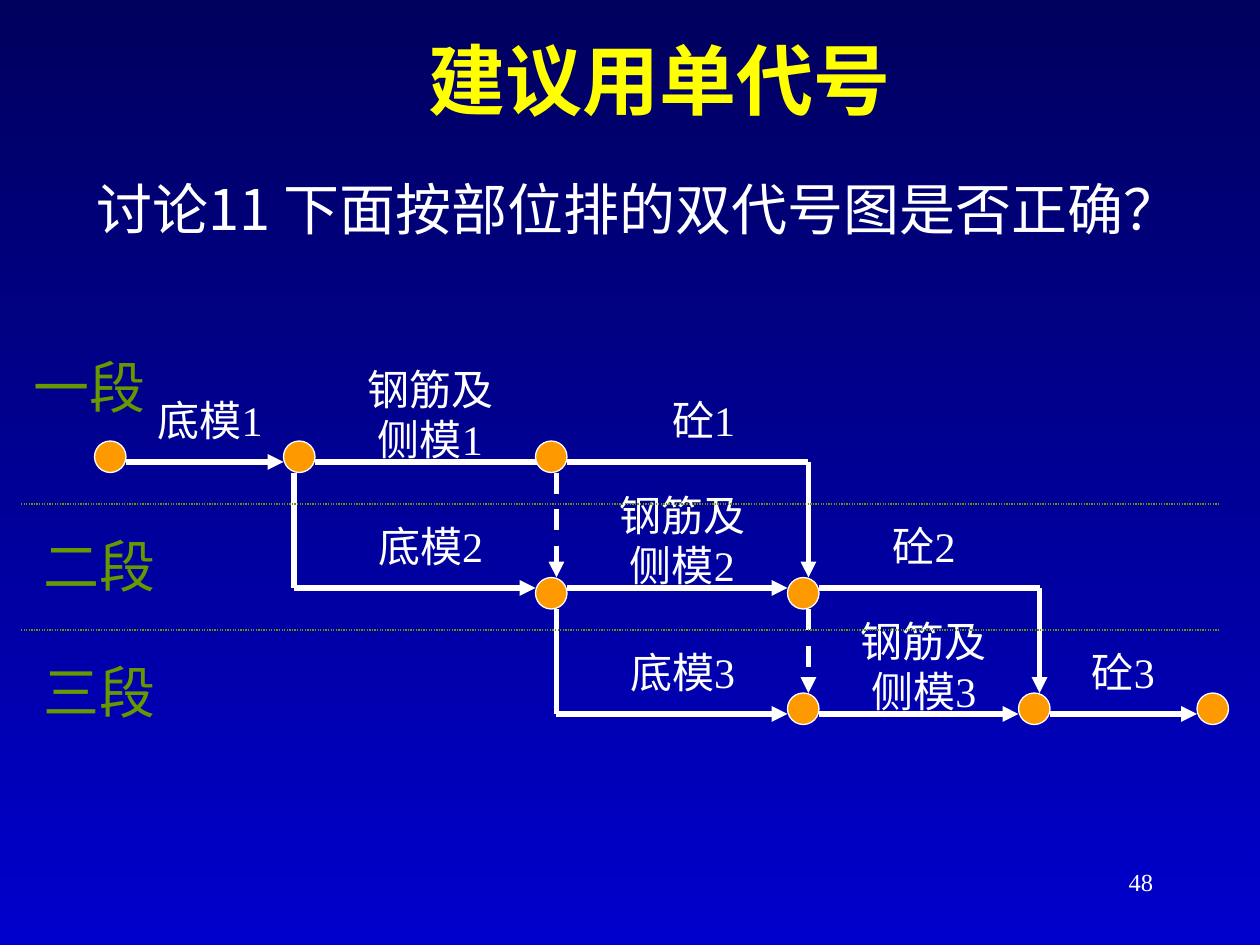
import pptx
import pptx.util
import pptx.dml.color
import pptx.enum.dml
import pptx.enum.shapes
import pptx.enum.text
import pptx.oxml.ns
import lxml.etree

COLUMNS, ROWS = 120, 90
WIDTH, HEIGHT = pptx.util.Inches(10), pptx.util.Inches(7.5)
WHITE, YELLOW, ORANGE, GREEN = "FFFFFF", "FFFF00", "FF9900", "669900"
SERIF, SANS, CHINESE = "Times New Roman", "Arial", "Noto Sans CJK SC"
ALIGN = pptx.enum.text.PP_ALIGN
DASH = pptx.enum.dml.MSO_LINE.DASH
DOTS = pptx.enum.dml.MSO_LINE.ROUND_DOT
BAND = 12

NODES = [(9, 42), (27, 42), (51, 42), (51, 55), (75, 55),
         (75, 66), (97, 66), (114, 66)]
ARROWS = [(12, 44, 27, 44), (30, 44, 54, 44), (77, 44, 77, 55),
          (28, 56, 51, 56), (54, 56, 75, 56), (99, 56, 99, 66),
          (53, 68, 75, 68), (78, 68, 97, 68), (100, 68, 114, 68)]
DUMMIES = [(53, 45, 53, 55), (77, 58, 77, 66)]
PLAIN_LINES = [(54, 44, 77, 44), (28, 45, 28, 56),
               (78, 56, 99, 56), (53, 58, 53, 68)]
TASKS = [("底模", 37, 6, [(13, 14), (34, 14), (58, 14)]),
         ("钢筋及侧模", 34, 10.8, [(32, 18), (56, 18), (79, 18)]),
         ("砼", 37, 6, [(60, 14), (81, 14), (98, 18)])]
STAGES = [("一段", 2, 33), ("二段", 3, 50), ("三段", 3, 62)]


def across(columns):
    """Return the length of a number of grid columns."""
    return int(WIDTH * columns / COLUMNS)


def down(rows):
    """Return the length of a number of grid rows."""
    return int(HEIGHT * rows / ROWS)


def color(value):
    """Return a colour from a hex string."""
    return pptx.dml.color.RGBColor.from_string(value)


def place(shape, left, top, width, height):
    """Put a shape on the grid."""
    shape.left, shape.top = across(left), down(top)
    shape.width, shape.height = across(width), down(height)


def write(box, text, size, font, shade, align=ALIGN.LEFT, bold=False):
    """Fill a box with one formatted paragraph."""
    box.text_frame.word_wrap = True
    para = box.text_frame.paragraphs[0]
    para.text = text
    para.alignment = align
    para.line_spacing = pptx.util.Pt(round(size * 1.2, 1))
    para.space_before = pptx.util.Pt(0)
    span = para.runs[0]
    span.font.size = pptx.util.Pt(size)
    span.font.name = font
    span.font.bold = bold
    span.font.color.rgb = color(shade)
    east = lxml.etree.SubElement(span.font._element, pptx.oxml.ns.qn("a:ea"))
    east.set("typeface", CHINESE)
    return para


def add_text(page, text, frame, size, font, shade, align=ALIGN.LEFT):
    """Add a text box on the grid and return its paragraph."""
    box = page.shapes.add_textbox(0, 0, 0, 0)
    place(box, *frame)
    return write(box, text, size, font, shade, align)


def add_line(page, ends, shade=WHITE, weight=3, arrow=False, dash=None):
    """Add a straight line, with an arrowhead if asked."""
    left, top, right, bottom = ends
    line = page.shapes.add_connector(
        pptx.enum.shapes.MSO_CONNECTOR.STRAIGHT,
        across(left), down(top), across(right), down(bottom))
    line.line.color.rgb = color(shade)
    line.line.width = pptx.util.Pt(weight)
    if dash:
        line.line.dash_style = dash
    if arrow:
        head = lxml.etree.SubElement(
            line.line._get_or_add_ln(), pptx.oxml.ns.qn("a:tailEnd"))
        head.set("type", "triangle")
    lxml.etree.SubElement(
        line._element.spPr, pptx.oxml.ns.qn("a:effectLst"))


def add_node(page, left, top):
    """Add a round event node."""
    node = page.shapes.add_shape(
        pptx.enum.shapes.MSO_SHAPE.OVAL, 0, 0, 0, 0)
    place(node, left, top, 3, 3)
    node.shadow.inherit = False
    node.fill.solid()
    node.fill.fore_color.rgb = color(ORANGE)
    node.line.color.rgb = color(WHITE)
    node.line.width = pptx.util.Pt(0.75)


def paint_background(page):
    """Shade the page from dark blue down to bright blue."""
    fill = page.background.fill
    fill.gradient()
    fill.gradient_angle = 270
    for stop, position, shade in zip(
            fill.gradient_stops, (0, 1), ("00005E", "0000CC")):
        stop.position = position
        stop.color.rgb = color(shade)


def add_heading(page):
    """Write the title and the question."""
    title = page.shapes.title
    place(title, 10, 0, 102, 15)
    write(title, "建议用单代号", 44, SERIF, YELLOW, ALIGN.CENTER, True)
    title.text_frame.vertical_anchor = pptx.enum.text.MSO_ANCHOR.MIDDLE
    title.text_frame.margin_left = pptx.util.Inches(0.4)
    para = add_text(page, "讨论11 下面按部位排的双代号图是否正确？",
                    (8, 16, 105, 9), 32, CHINESE, WHITE)
    indent = pptx.util.Inches(0.38)
    para._p.get_or_add_pPr().set("marL", str(indent))
    para._p.get_or_add_pPr().set("indent", str(-indent))


def add_network(page):
    """Draw the lines and nodes of the network."""
    for ends in PLAIN_LINES:
        add_line(page, ends)
    for ends in ARROWS:
        add_line(page, ends, arrow=True)
    for ends in DUMMIES:
        add_line(page, ends, arrow=True, dash=DASH)
    for left, top in NODES:
        add_node(page, left, top)


def add_labels(page):
    """Name the tasks and the stages, and divide the stages."""
    for name, first_top, height, spots in TASKS:
        for index, (left, width) in enumerate(spots):
            frame = (left, first_top + index * BAND, width, height)
            add_text(page, f"{name}{index + 1}", frame,
                     24, SERIF, WHITE, ALIGN.CENTER)
    for row in (48, 48 + BAND):
        add_line(page, (2, row, 116, row), GREEN, 0.75, dash=DOTS)
    for name, left, top in STAGES:
        add_text(page, name, (left, top, 14, 7.7), 32, SANS, GREEN)


def main():
    """Build the slide and save it."""
    deck = pptx.Presentation()
    deck.slide_width, deck.slide_height = WIDTH, HEIGHT
    page = deck.slides.add_slide(deck.slide_layouts[5])
    paint_background(page)
    add_heading(page)
    add_network(page)
    add_labels(page)
    add_text(page, "48", (86, 82, 25, 6), 14, SERIF, WHITE, ALIGN.RIGHT)
    deck.save("out.pptx")


if __name__ == "__main__":
    main()
